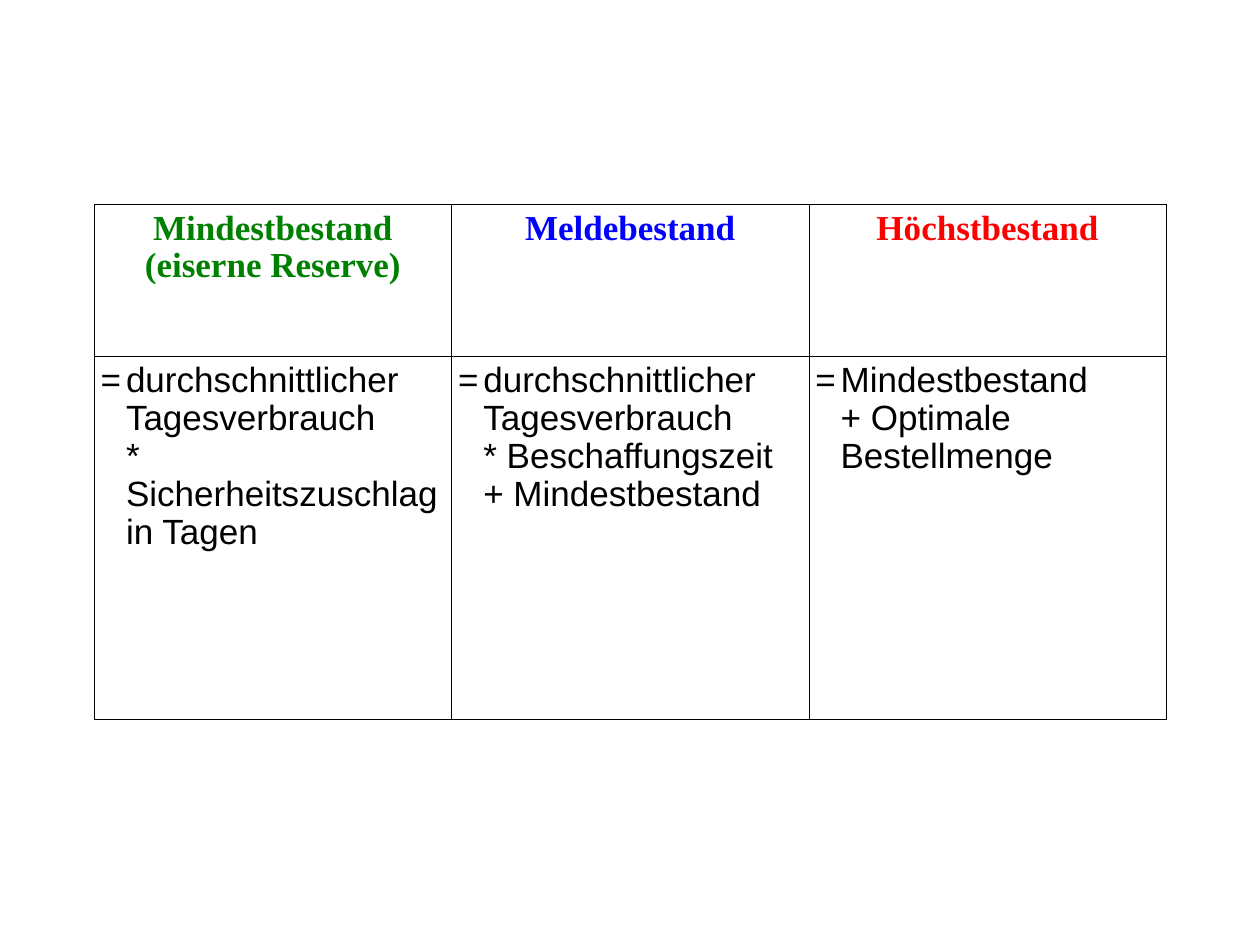
import pptx
import pptx.dml.color
import pptx.enum.text
import pptx.oxml
import pptx.oxml.ns
import pptx.util
from pptx.util import Cm

RGB = pptx.dml.color.RGBColor.from_string
ALIGN = pptx.enum.text.PP_ALIGN

THEME = {
    "border": "000000",
    "border_width": pptx.util.Pt(0.45),
    "margin": Cm(0.13),
    "hanging": Cm(0.51),
    "heading": {"name": "Times New Roman", "size": pptx.util.Pt(20), "bold": True},
    "formula": {"name": "Arial", "size": pptx.util.Pt(20), "bold": False},
    "minimum": "008000",
    "reorder": "0000FF",
    "maximum": "FF0000",
    "text": "000000",
}

STOCK_LEVELS = [
    ("Mindestbestand\n(eiserne Reserve)", "minimum",
     "=\tdurchschnittlicher Tagesverbrauch\v* Sicherheitszuschlag in Tagen"),
    ("Meldebestand", "reorder",
     "=\tdurchschnittlicher Tagesverbrauch\v* Beschaffungszeit\v+ Mindestbestand"),
    ("Höchstbestand", "maximum",
     "=\tMindestbestand\v+ Optimale Bestellmenge"),
]


def write_cell(cell, text, style, color, line_spacing, alignment):
    cell.fill.background()
    for side in ("left", "right", "top", "bottom"):
        setattr(cell, f"margin_{side}", THEME["margin"])
    cell.text_frame.text = text
    for paragraph in cell.text_frame.paragraphs:
        paragraph.alignment = alignment
        paragraph.line_spacing = line_spacing
        for run in paragraph.runs:
            for attribute, value in THEME[style].items():
                setattr(run.font, attribute, value)
            run.font.color.rgb = RGB(THEME[color])


def add_borders(cell):
    properties = cell._tc.get_or_add_tcPr()
    for position, side in enumerate(("lnL", "lnR", "lnT", "lnB")):
        properties.insert(position, pptx.oxml.parse_xml(
            f'<a:{side} {pptx.oxml.ns.nsdecls("a")} w="{THEME["border_width"]}">'
            f'<a:solidFill><a:srgbClr val="{THEME["border"]}"/></a:solidFill></a:{side}>'))


presentation = pptx.Presentation()
presentation.slide_width = Cm(25.4)
presentation.slide_height = Cm(19.05)
slide = presentation.slides.add_slide(presentation.slide_layouts[6])

table = slide.shapes.add_table(
    2, len(STOCK_LEVELS), Cm(1.9), Cm(4.12), Cm(21.61), Cm(10.39)).table
table.first_row = False
table.horz_banding = False
for row, height in zip(table.rows, (3.06, 7.33)):
    row.height = Cm(height)

for column, (heading, color, formula) in enumerate(STOCK_LEVELS):
    write_cell(table.cell(0, column), heading, "heading", color, 0.95, ALIGN.CENTER)
    formula_cell = table.cell(1, column)
    write_cell(formula_cell, formula, "formula", "text", 0.97, ALIGN.LEFT)
    paragraph_properties = formula_cell.text_frame.paragraphs[0]._p.get_or_add_pPr()
    paragraph_properties.set("marL", str(THEME["hanging"]))
    paragraph_properties.set("indent", str(-THEME["hanging"]))

for cell in table.iter_cells():
    add_borders(cell)

presentation.save("out.pptx")
